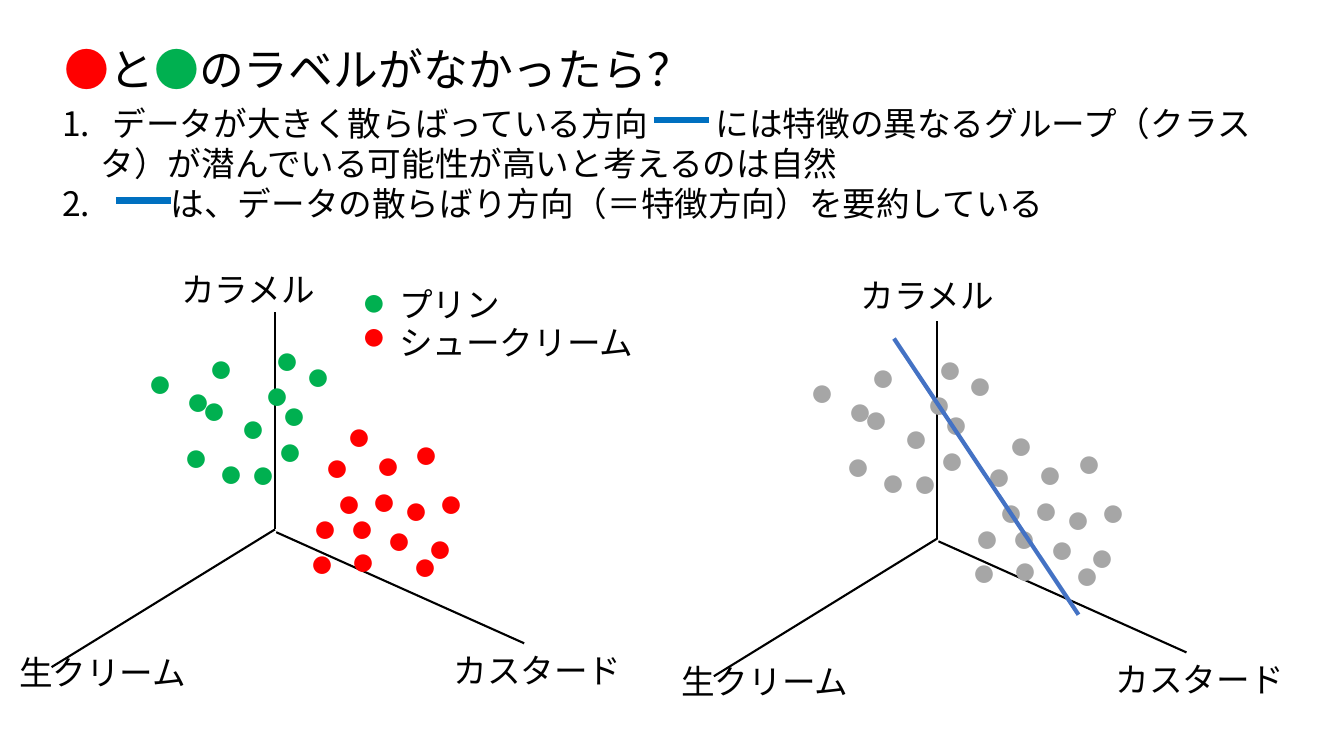
from pptx import Presentation
from pptx.dml.color import RGBColor
from pptx.enum.shapes import MSO_CONNECTOR as Conn
from pptx.enum.text import MSO_ANCHOR as Anchor, PP_ALIGN as Align
from pptx.oxml.ns import qn
from pptx.util import Cm, Pt
from lxml.etree import SubElement

FONT = "Noto Sans CJK JP"
BLACK, RED, GREEN, GRAY = "000000", "FF0000", "00B050", "A6A6A6"
BLUE, TREND_BLUE = "0070C0", "4472C4"
DOT_W, DOT_H = 1.02, 0.86
GAP = "　"  # widened by character spacing to hold an inline blue line

# Dot centres in cm, in the left panel
PUDDING = [
    (5.41, 10.41), (7.42, 10.54), (6.4, 10.87), (4.95, 11.58), (7.26, 9.14),
    (8.03, 9.55), (6.65, 12.01), (6.99, 10.03), (5.84, 11.99), (7.32, 11.43),
    (4.04, 9.73), (5, 10.19), (5.59, 9.35),
]
CREAM_PUFF = [
    (8.2, 13.39), (10.76, 11.52), (9.7, 12.7), (9.17, 14.2), (9.14, 13.39),
    (9.8, 11.79), (10.08, 13.67), (10.49, 12.93), (8.51, 11.84), (8.13, 14.25),
    (9.07, 11.05), (8.81, 12.75), (10.72, 14.34), (11.38, 12.74), (11.1, 13.89),
]
AXES = [
    (6.93, 7.87, 6.93, 13.34),
    (6.93, 13.34, 1.3, 16.81),
    (6.96, 13.41, 13.21, 16.21),
]


def rgb(color):
    return RGBColor.from_string(color)


def add_run(p, text, size=24, color=BLACK):
    r = p.add_run()
    r.text = text
    r.font.size = Pt(size)
    r.font.color.rgb = rgb(color)
    r.font.name = FONT
    rPr = r.font._element
    SubElement(rPr, qn("a:ea"), typeface=FONT)
    if text == GAP:
        rPr.set("spc", str(size * 100))
    p.line_spacing = Pt(size * 1.2)


def add_box(s, x, y, w, h, wrap=False, anchor=Anchor.TOP):
    sp = s.shapes.add_textbox(Cm(x), Cm(y), Cm(w), Cm(h))
    tf = sp.text_frame
    tf.margin_left = tf.margin_right = tf.margin_top = tf.margin_bottom = 0
    tf.word_wrap = wrap
    tf.vertical_anchor = anchor
    return sp


def add_label(s, text, x, y):
    sp = add_box(s, x, y, 0.85 * len(text), 1.02)
    add_run(sp.text_frame.paragraphs[0], text)


def add_dot(s, x, y, color, rotation=136.6):
    sp = add_box(s, x - DOT_W / 2, y - DOT_H / 2, DOT_W, DOT_H,
                 wrap=True, anchor=Anchor.MIDDLE)
    sp.rotation = rotation
    p = sp.text_frame.paragraphs[0]
    p.alignment = Align.CENTER
    add_run(p, "●", size=14, color=color)


def add_line(s, x1, y1, x2, y2, color=BLACK, width=1.5):
    line = s.shapes.add_connector(Conn.STRAIGHT, Cm(x1), Cm(y1), Cm(x2), Cm(y2))
    line.line.color.rgb = rgb(color)
    line.line.width = Pt(width)
    SubElement(line._element.spPr, qn("a:effectLst"))


def set_indent(p, left, number=None):
    pPr = p._p.get_or_add_pPr()
    pPr.set("marL", str(Cm(left)))
    if number:
        pPr.set("indent", str(-Cm(left)))
        SubElement(pPr, qn("a:buFont"), typeface=FONT)
        SubElement(pPr, qn("a:buAutoNum"), type="arabicPeriod", startAt=str(number))


def add_title(s):
    sp = add_box(s, 1.63, 1.04, 31, 1.37, wrap=True)
    p = sp.text_frame.paragraphs[0]
    for text, color in [("●", RED), ("と", BLACK), ("●", GREEN),
                        ("のラベルがなかったら？", BLACK)]:
        add_run(p, text, size=32, color=color)


def add_points(s):
    tf = add_box(s, 1.57, 2.59, 31.57, 3.07, wrap=True).text_frame
    points = [
        (1.27, 1, ["データが大きく散らばっている方向", GAP,
                   "には特徴の異なるグループ（クラス"]),
        (0.97, None, ["タ）が潜んでいる可能性が高いと考えるのは自然"]),
        (1.04, 2, [GAP, "は、データの散らばり方向（＝特徴方向）を要約している"]),
    ]
    for i, (left, number, texts) in enumerate(points):
        p = tf.add_paragraph() if i else tf.paragraphs[0]
        for text in texts:
            add_run(p, text)
        set_indent(p, left, number)
    # Inline blue lines
    for x, y in [(16.48, 3.02), (2.92, 5.05)]:
        add_line(s, x, y, x + 1.38, y, BLUE, 4.5)


def add_panel(s, dx, dy, caramel, pudding_color, puff_color):
    for x1, y1, x2, y2 in AXES:
        add_line(s, x1 + dx, y1 + dy, x2 + dx, y2 + dy)
    add_label(s, "生クリーム", 0.48 + dx, 16.43 + dy)
    add_label(s, "カスタード", 11.43 + dx, 16.38 + dy)
    add_label(s, "カラメル", *caramel)
    for dots, color in [(PUDDING, pudding_color), (CREAM_PUFF, puff_color)]:
        for x, y in dots:
            add_dot(s, x + dx, y + dy, color)


def add_legend(s):
    for i, (name, color) in enumerate([("プリン", GREEN), ("シュークリーム", RED)]):
        add_dot(s, 9.45, 7.67 + 0.86 * i, color, rotation=65.4)
        add_label(s, name, 10.06, 7.16 + 0.94 * i)


def main():
    prs = Presentation()
    prs.slide_width, prs.slide_height = Cm(33.87), Cm(19.05)
    s = prs.slides.add_slide(prs.slide_layouts[6])
    add_title(s)
    # Labelled data on the left, unlabelled data with its direction on the right
    add_panel(s, 0, 0, (4.57, 6.78), GREEN, RED)
    add_legend(s)
    add_panel(s, 16.69, 0.23, (21.69, 6.93), GRAY, GRAY)
    add_line(s, 22.53, 8.53, 27.18, 15.49, TREND_BLUE, 3)
    add_points(s)
    prs.save("out.pptx")


if __name__ == "__main__":
    main()
